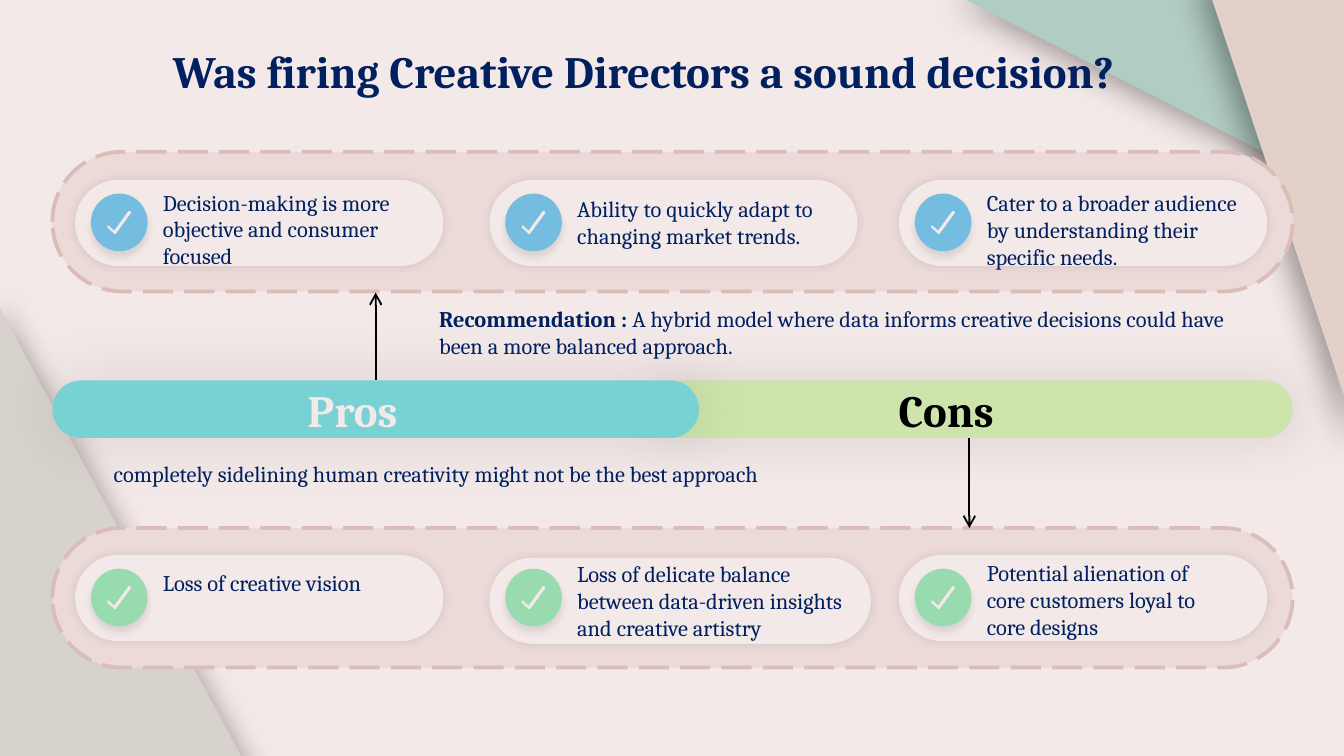
from dataclasses import dataclass

from lxml import etree
from pptx import Presentation
from pptx import util as u
from pptx.dml.color import RGBColor
from pptx.enum import dml, shapes, text
from pptx.oxml.ns import qn

FONT = "Cambria"
NAVY, CREAM, BLACK = "002060", "F3E9E8", "000000"
BLUE, GREEN = "74BDE0", "98DBAF"
COLUMNS = (1.42, 9.25, 16.99)
PANEL_LEFT, PANEL_WIDTH, PANEL_HEIGHT = 0.99, 23.44, 2.64
BAR_TOP, BAR_WIDTH, BAR_HEIGHT = 7.19, 12.22, 1.09
TICK = ((0.74, 0.33), (0.71, 0.33), (0.44, 0.7), (0.33, 0.6), (0.31, 0.61),
        (0.31, 0.64), (0.44, 0.76), (0.47, 0.76), (0.76, 0.36))


@dataclass
class Shadow:
    opacity: int
    blur: float
    distance: float
    angle: int


@dataclass
class Box:
    left: float
    top: float
    width: float
    height: float

    def lengths(self):
        return [u.Cm(v) for v in (self.left, self.top, self.width, self.height)]


@dataclass
class Run:
    wording: str
    size: int = 12
    bold: bool = False
    color: str = NAVY


@dataclass
class Card:
    column: int
    wording: str
    text_middle: float
    text_width: float = 4.55
    width: float = 6.96
    drop: float = 0


@dataclass
class Row:
    panel_top: float
    card_top: float
    badge_color: str
    cards: tuple


CARD_SHADOW = Shadow(10, 5, 0, 0)
BADGE_SHADOW = Shadow(10, 4, 3, 90)
CORNERS = (
    (((17.91, -0.18), (25.86, -0.2), (25.96, 3.94)), "B1CCC3", Shadow(36, 16.9, 6, 61)),
    (((22.81, -0.3), (25.96, -0.33), (25.76, 8.56)), "E3D0C9", Shadow(36, 16.9, 6, 178)),
    (((-0.13, 5.59), (-0.18, 14.53), (4.67, 14.5)), "D7D2CC", Shadow(34, 15.8, 6, 60)),
)
ROWS = (
    Row(2.87, 3.4, BLUE, (
        Card(0, "Decision-making is more objective and consumer focused", 4.33),
        Card(1, "Ability to quickly adapt to changing market trends.", 4.2),
        Card(2, "Cater to a broader audience by understanding their specific needs.",
             4.34, 5.23),
    )),
    Row(9.98, 10.49, GREEN, (
        Card(0, "Loss of creative vision", 11.02),
        Card(1, "Loss of delicate balance between data-driven insights and creative artistry",
             11.35, 5.41, 7.21, 0.05),
        Card(2, "Potential alienation of core customers loyal to core designs", 11.34),
    )),
)


def rgb(value: str) -> RGBColor:
    return RGBColor.from_string(value)


def paint(shape, color: str, shadow: Shadow | None = None) -> None:
    shape.fill.solid()
    shape.fill.fore_color.rgb = rgb(color)
    shape.line.fill.background()
    shape.shadow.inherit = False
    if shadow:
        effects = shape.element.spPr.find(qn("a:effectLst"))
        outer = etree.SubElement(
            effects, qn("a:outerShdw"), blurRad=str(u.Pt(shadow.blur)),
            dist=str(u.Pt(shadow.distance)), dir=str(shadow.angle * 60000),
            algn="ctr", rotWithShape="0")
        tint = etree.SubElement(outer, qn("a:srgbClr"), val=BLACK)
        etree.SubElement(tint, qn("a:alpha"), val=str(shadow.opacity * 1000))


def add_pill(slide, box: Box, color: str, shadow: Shadow | None = None):
    shape = slide.shapes.add_shape(shapes.MSO_SHAPE.ROUNDED_RECTANGLE, *box.lengths())
    shape.adjustments[0] = 0.5
    paint(shape, color, shadow)
    return shape


def add_polygon(container, points, color: str, shadow: Shadow | None = None) -> None:
    corners = [(u.Cm(x), u.Cm(y)) for x, y in points]
    builder = container.build_freeform(*corners[0], scale=1.0)
    builder.add_line_segments(corners[1:], close=True)
    paint(builder.convert_to_shape(), color, shadow)


def write(shape, runs: list[Run], insets=(0.25, 0.13, 0.25, 0.13),
          align=text.PP_ALIGN.LEFT, anchor=text.MSO_ANCHOR.TOP) -> None:
    frame = shape.text_frame
    frame.word_wrap = True
    frame.vertical_anchor = anchor
    (frame.margin_left, frame.margin_top,
     frame.margin_right, frame.margin_bottom) = [u.Cm(v) for v in insets]
    paragraph = frame.paragraphs[0]
    paragraph.alignment = align
    for item in runs:
        run = paragraph.add_run()
        run.text = item.wording
        run.font.name = FONT
        run.font.size = u.Pt(item.size)
        run.font.bold = item.bold
        run.font.color.rgb = rgb(item.color)


def add_text(slide, box: Box, runs: list[Run], **layout) -> None:
    write(slide.shapes.add_textbox(*box.lengths()), runs, **layout)


def add_panel(slide, top: float) -> None:
    panel = add_pill(slide, Box(PANEL_LEFT, top, PANEL_WIDTH, PANEL_HEIGHT), "EBDAD8")
    panel.line.color.rgb = rgb("DBBCB9")
    panel.line.width = u.Pt(2)
    panel.line.dash_style = dml.MSO_LINE.LONG_DASH


def add_bar(slide, left: float, label: str, color: str, label_color: str, shadow: Shadow):
    bar = add_pill(slide, Box(left, BAR_TOP, BAR_WIDTH, BAR_HEIGHT), color, shadow)
    write(bar, [Run(label, 24, True, label_color)], (0.25, 0.13, 1.12, 0.13),
          text.PP_ALIGN.CENTER, text.MSO_ANCHOR.MIDDLE)
    return bar


def add_badge(slide, left: float, top: float, color: str) -> None:
    group = slide.shapes.add_group_shape()
    circle = group.shapes.add_shape(
        shapes.MSO_SHAPE.OVAL, *Box(left, top, 1.07, 1.09).lengths())
    paint(circle, color, BADGE_SHADOW)
    add_polygon(group.shapes, [(left + x, top + y) for x, y in TICK], CREAM)


def add_card(slide, row: Row, card: Card) -> None:
    left = COLUMNS[card.column]
    add_pill(slide, Box(left, row.card_top + card.drop, card.width, 1.63),
             CREAM, CARD_SHADOW)
    add_badge(slide, left + 0.3, row.card_top + 0.26, row.badge_color)
    add_text(slide, Box(left + 1.66, card.text_middle - 1, card.text_width, 2),
             [Run(card.wording)], insets=(0, 0, 0, 0), anchor=text.MSO_ANCHOR.MIDDLE)


def add_arrow(slide, x: float, tip: float, bar, side: int) -> None:
    arrow = slide.shapes.add_connector(
        shapes.MSO_CONNECTOR.STRAIGHT, u.Cm(x), u.Cm(tip), u.Cm(x), u.Cm(BAR_TOP))
    arrow.end_connect(bar, side)
    arrow.line.color.rgb = rgb(BLACK)
    arrow.line.width = u.Pt(1)
    etree.SubElement(arrow.line._get_or_add_ln(), qn("a:headEnd"), type="arrow")
    etree.SubElement(arrow.element.spPr, qn("a:effectLst"))


def main() -> None:
    presentation = Presentation()
    presentation.slide_width, presentation.slide_height = u.Cm(25.4), u.Cm(14.29)
    slide = presentation.slides.add_slide(presentation.slide_layouts[6])
    slide.background.fill.solid()
    slide.background.fill.fore_color.rgb = rgb(CREAM)

    for points, color, shadow in CORNERS:
        add_polygon(slide.shapes, points, color, shadow)
    add_text(slide, Box(0.91, 0.58, 22.5, 2.21),
             [Run("Was firing Creative Directors a sound decision?", 24, True)],
             insets=(0.25, 0.25, 0.25, 0.25), align=text.PP_ALIGN.CENTER)
    for row in ROWS:
        add_panel(slide, row.panel_top)
    cons = add_bar(slide, PANEL_LEFT + PANEL_WIDTH - BAR_WIDTH, "Cons", "CDE4AC",
                   BLACK, Shadow(10, 30, 3, 0))
    pros = add_bar(slide, PANEL_LEFT, "Pros", "78D2D3", CREAM, Shadow(10, 35, 0, 0))
    for row in ROWS:
        for card in row.cards:
            add_card(slide, row, card)

    add_arrow(slide, PANEL_LEFT + BAR_WIDTH / 2, 5.53, pros, 0)
    add_arrow(slide, PANEL_LEFT + PANEL_WIDTH - BAR_WIDTH / 2, 9.98, cons, 2)
    add_text(slide, Box(8.05, 5.64, 16.08, 1.27), [
        Run("Recommendation : ", bold=True),
        Run("A hybrid model where data informs creative decisions could have "
            "been a more balanced approach.")])
    add_text(slide, Box(1.9, 8.56, 15.95, 0.76), [
        Run("completely sidelining human creativity might not be the best approach")])
    presentation.save("out.pptx")


if __name__ == "__main__":
    main()
